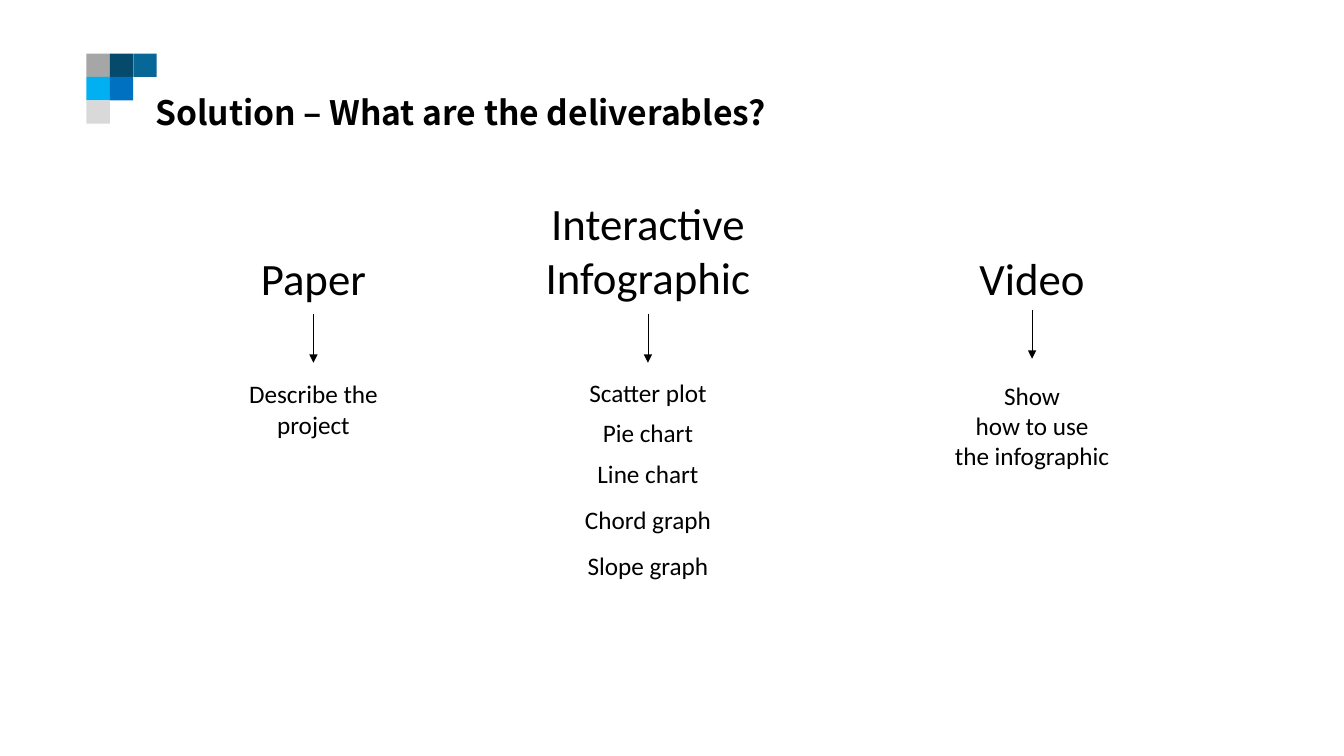
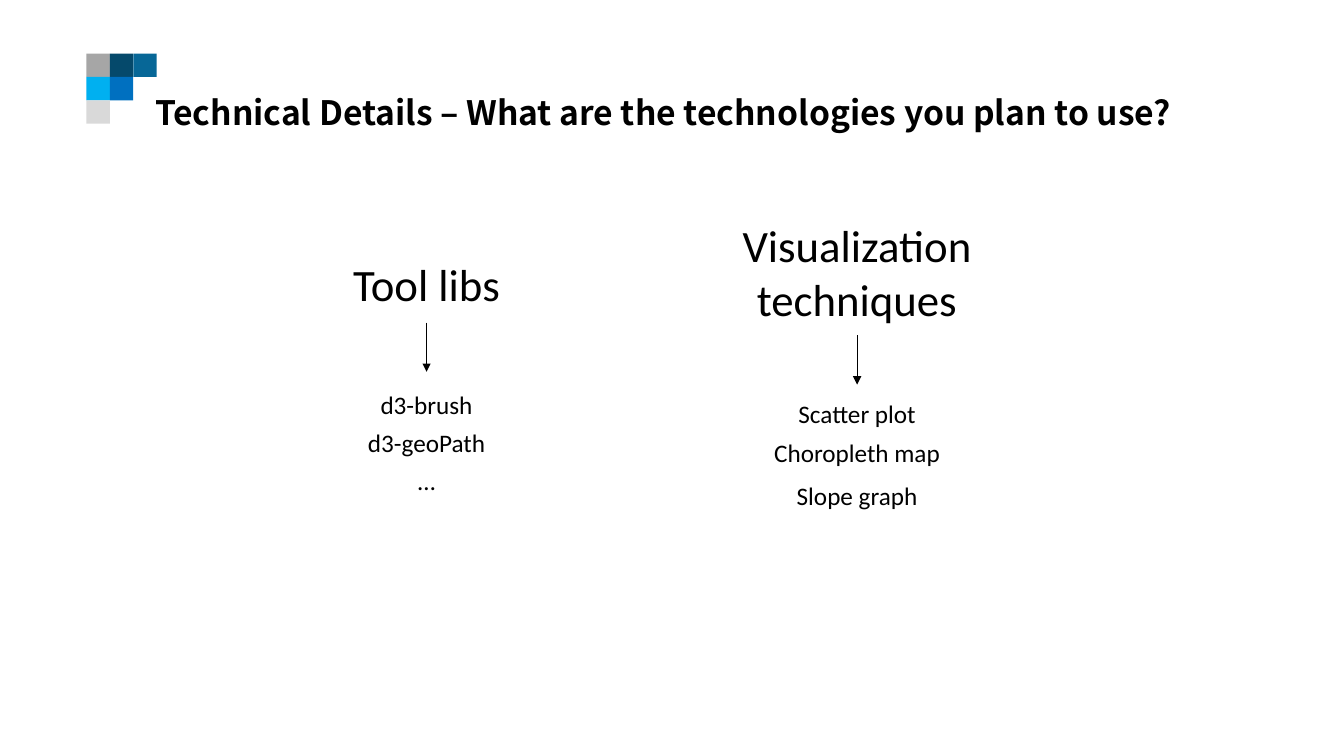
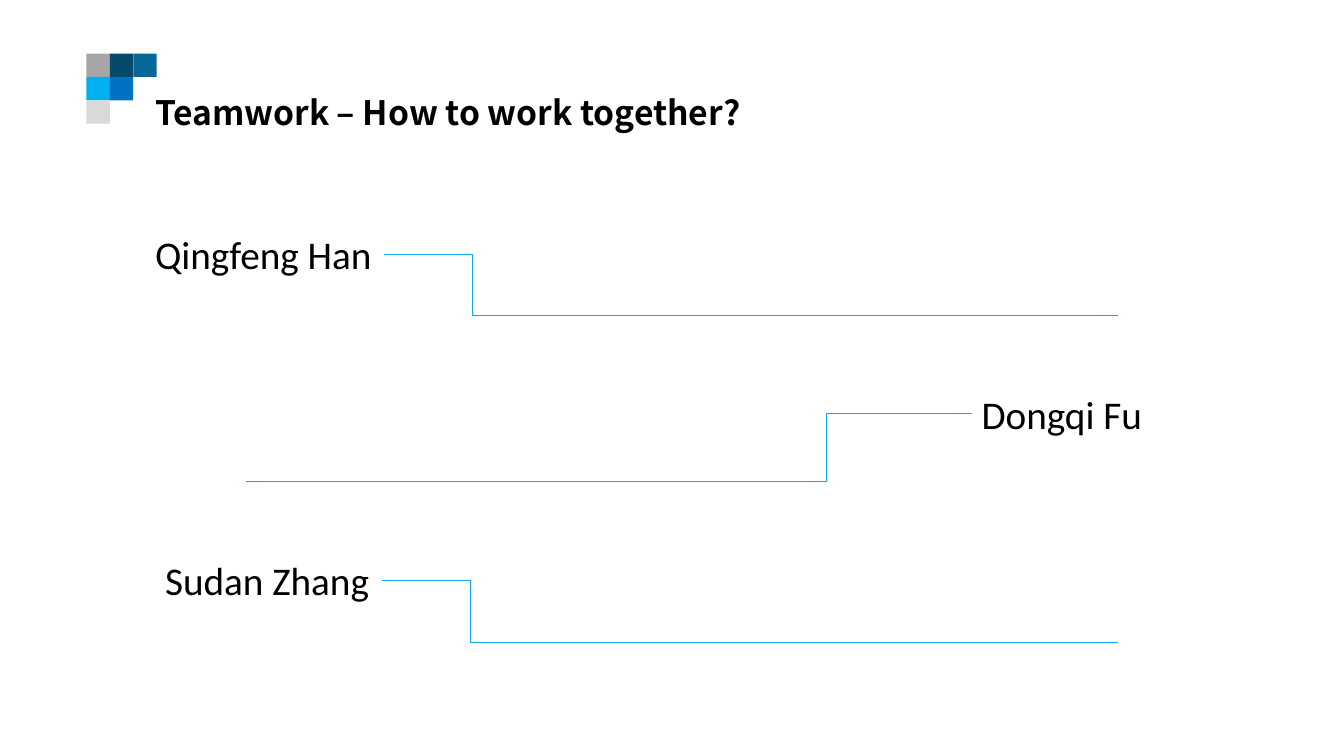
from pptx import Presentation
from pptx.dml.color import RGBColor
from pptx.enum.shapes import MSO_CONNECTOR, MSO_SHAPE
from pptx.enum.text import MSO_AUTO_SIZE, PP_ALIGN
from pptx.oxml.ns import qn
from pptx.util import Cm, Pt
from lxml.etree import SubElement

BLACK = RGBColor(0x00, 0x00, 0x00)
SKY = RGBColor(0x11, 0xA9, 0xED)

MOSAIC_LEFT, MOSAIC_TOP, TILE = 2.18, 1.35, 0.59
MOSAIC = [
    [RGBColor(0xA6, 0xA6, 0xA6), RGBColor(0x05, 0x49, 0x6B), RGBColor(0x07, 0x67, 0x97)],
    [RGBColor(0x00, 0xB0, 0xF0), RGBColor(0x00, 0x70, 0xC0)],
    [RGBColor(0xD9, 0xD9, 0xD9)],
]

TITLE_FONT, BODY_FONT = "Noto Sans CJK SC", "Calibri"
TITLE_SIZE, HEADING_SIZE, NAME_SIZE, ITEM_SIZE = 24, 32, 28, 18
LINE_SPACING, CM_PER_POINT, BOX_PADDING = 1.22, 2.54 / 72, 0.25
ARROW_LENGTH = 1.24

TOPIC_SLIDES = [
    ("Solution – What are the deliverables?", [
        {"heading": "Paper", "lines": 1, "width": 3.18, "center": 7.9,
         "bottom": 7.81, "arrow": 7.9,
         "items": [("Describe the\nproject", 9.42, 3.81)]},
        {"heading": "Interactive\nInfographic", "lines": 2, "width": 5.74, "center": 16.33,
         "bottom": 7.81, "arrow": 7.9,
         "items": [("Scatter plot", 9.37, 3.51), ("Pie chart", 10.4, 2.82),
                   ("Line chart", 11.43, 3.1), ("Chord graph", 12.57, 3.73),
                   ("Slope graph", 13.74, 3.61)]},
        {"heading": "Video", "lines": 1, "width": 3.2, "center": 26.01,
         "bottom": 7.81, "arrow": 7.8,
         "items": [("Show\nhow to use\nthe infographic", 9.45, 4.45)]},
    ]),
    ("Technical Details – What are the technologies you plan to use?", [
        {"heading": "Tool libs", "lines": 1, "width": 4.27, "center": 10.75,
         "bottom": 7.98, "arrow": 8.13,
         "items": [("d3-brush", 9.68, 2.87), ("d3-geoPath", 10.64, 3.51),
                   ("…", 11.6, 0.97)]},
        {"heading": "Visualization techniques", "lines": 2, "width": 8.03, "center": 21.6,
         "bottom": 8.36, "arrow": 8.45,
         "items": [("Scatter plot", 9.91, 3.51), ("Choropleth map", 10.9, 4.75),
                   ("Slope graph", 11.99, 3.61)]},
    ]),
]

TEAM_TITLE = "Teamwork – How to work together?"
RIGHT_SIDE, LEFT_SIDE = 3, 1
TEAM = [
    {"name": "Qingfeng Han", "left": 3.66, "top": 5.69, "width": 6.02,
     "side": RIGHT_SIDE, "far_end": (28.17, 7.95), "bend": 0.12},
    {"name": "Dongqi Fu", "left": 24.49, "top": 9.7, "width": 4.6,
     "side": LEFT_SIDE, "far_end": (6.2, 12.14), "bend": 0.8},
    {"name": "Sudan Zhang", "left": 3.91, "top": 13.9, "width": 5.72,
     "side": RIGHT_SIDE, "far_end": (28.17, 16.18), "bend": 0.12},
]


def box_height(size, lines):
    return size * LINE_SPACING * CM_PER_POINT * lines + BOX_PADDING


def add_text(slide, text, left, top, width, height, size,
             font=BODY_FONT, bold=False, align=PP_ALIGN.CENTER, wrap=False):
    box = slide.shapes.add_textbox(Cm(left), Cm(top), Cm(width), Cm(height))
    frame = box.text_frame
    frame.word_wrap = wrap
    frame.auto_size = MSO_AUTO_SIZE.SHAPE_TO_FIT_TEXT
    frame.text = text
    for paragraph in frame.paragraphs:
        paragraph.alignment = align
        for run in paragraph.runs:
            run.font.name = font
            run.font.size = Pt(size)
            run.font.bold = bold
            run.font.color.rgb = BLACK
    return box


def add_line(slide, kind, start, end, color):
    line = slide.shapes.add_connector(kind, *map(Cm, start + end))
    line.line.color.rgb = color
    line.line.width = Pt(0.5)
    SubElement(line._element.spPr, qn("a:effectLst"))
    return line


def add_arrow(slide, x, top):
    arrow = add_line(slide, MSO_CONNECTOR.STRAIGHT, (x, top), (x, top + ARROW_LENGTH), BLACK)
    SubElement(arrow.line._get_or_add_ln(), qn("a:tailEnd"), type="triangle")


def add_mosaic(slide):
    layout_tree = slide.slide_layout.shapes.element
    for row, colors in enumerate(MOSAIC):
        for column, color in enumerate(colors):
            tile = slide.shapes.add_shape(
                MSO_SHAPE.RECTANGLE, Cm(MOSAIC_LEFT + column * TILE),
                Cm(MOSAIC_TOP + row * TILE), Cm(TILE), Cm(TILE))
            tile.shadow.inherit = False
            tile.fill.solid()
            tile.fill.fore_color.rgb = color
            tile.line.fill.background()
            layout_tree.append(tile._element)


def add_slide(deck, title):
    slide = deck.slides.add_slide(deck.slide_layouts[6])
    add_text(slide, title, 3.66, 2.18, 27.81, 1.28, TITLE_SIZE,
             font=TITLE_FONT, bold=True, align=PP_ALIGN.LEFT, wrap=True)
    return slide


def add_topic(slide, topic):
    def add_centered(text, top, width, height, size, wrap=False):
        add_text(slide, text, topic["center"] - width / 2, top, width, height, size, wrap=wrap)

    heading = topic["heading"]
    height = box_height(HEADING_SIZE, topic["lines"])
    add_centered(heading, topic["bottom"] - height, topic["width"], height, HEADING_SIZE,
                 wrap=topic["lines"] > len(heading.splitlines()))
    add_arrow(slide, topic["center"], topic["arrow"])
    for text, top, width in topic["items"]:
        add_centered(text, top, width, box_height(ITEM_SIZE, len(text.splitlines())), ITEM_SIZE)


def add_member(slide, member):
    left, top, width = member["left"], member["top"], member["width"]
    height = box_height(NAME_SIZE, 1)
    name = add_text(slide, member["name"], left, top, width, height, NAME_SIZE,
                    align=PP_ALIGN.LEFT)
    on_right = member["side"] == RIGHT_SIDE
    near_end = (left + width if on_right else left, top + height / 2)
    ends = (near_end, member["far_end"]) if on_right else (member["far_end"], near_end)
    elbow = add_line(slide, MSO_CONNECTOR.ELBOW, *ends, SKY)
    join = elbow.begin_connect if on_right else elbow.end_connect
    join(name, member["side"])
    guides = elbow._element.spPr.find(qn("a:prstGeom")).find(qn("a:avLst"))
    SubElement(guides, qn("a:gd"), name="adj1", fmla=f"val {round(member['bend'] * 100000)}")


def main():
    deck = Presentation()
    deck.slide_width, deck.slide_height = Cm(33.87), Cm(19.05)
    for title, topics in TOPIC_SLIDES:
        slide = add_slide(deck, title)
        for topic in topics:
            add_topic(slide, topic)
    team_slide = add_slide(deck, TEAM_TITLE)
    for member in TEAM:
        add_member(team_slide, member)
    add_mosaic(team_slide)
    deck.save("out.pptx")


if __name__ == "__main__":
    main()
